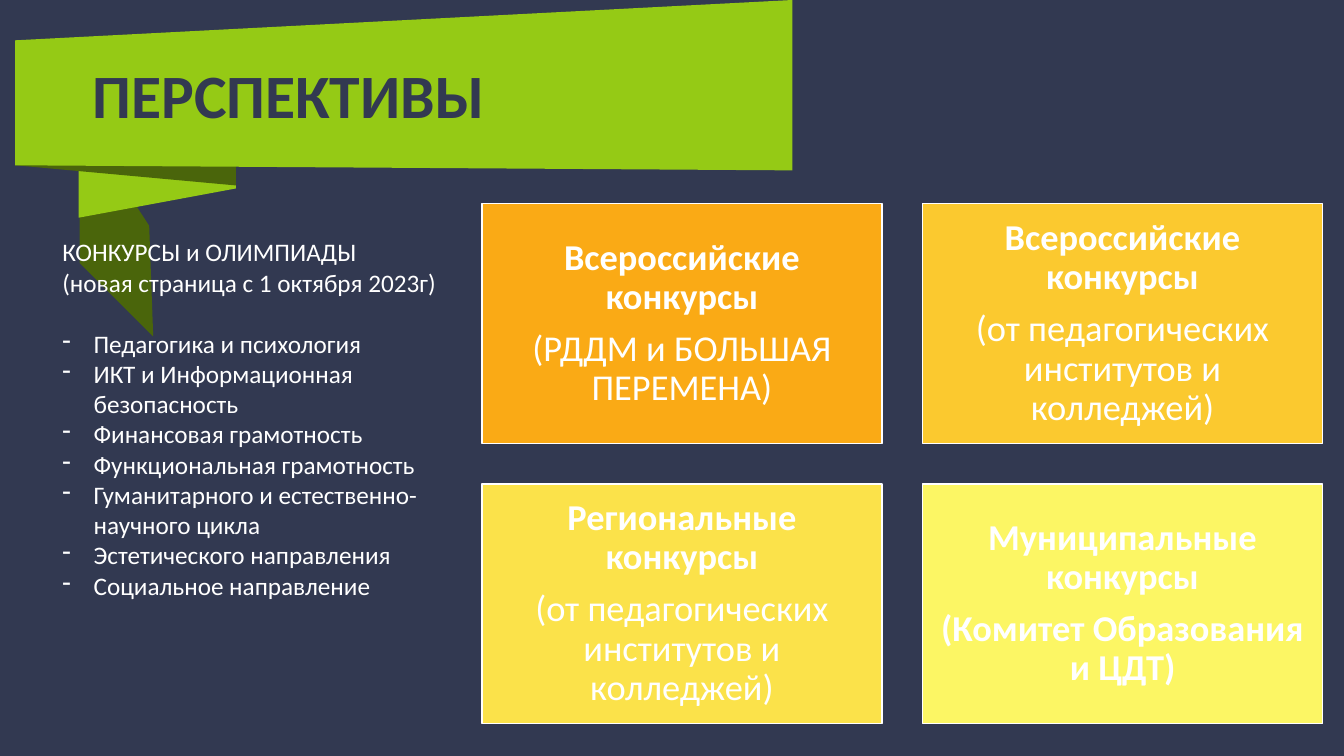
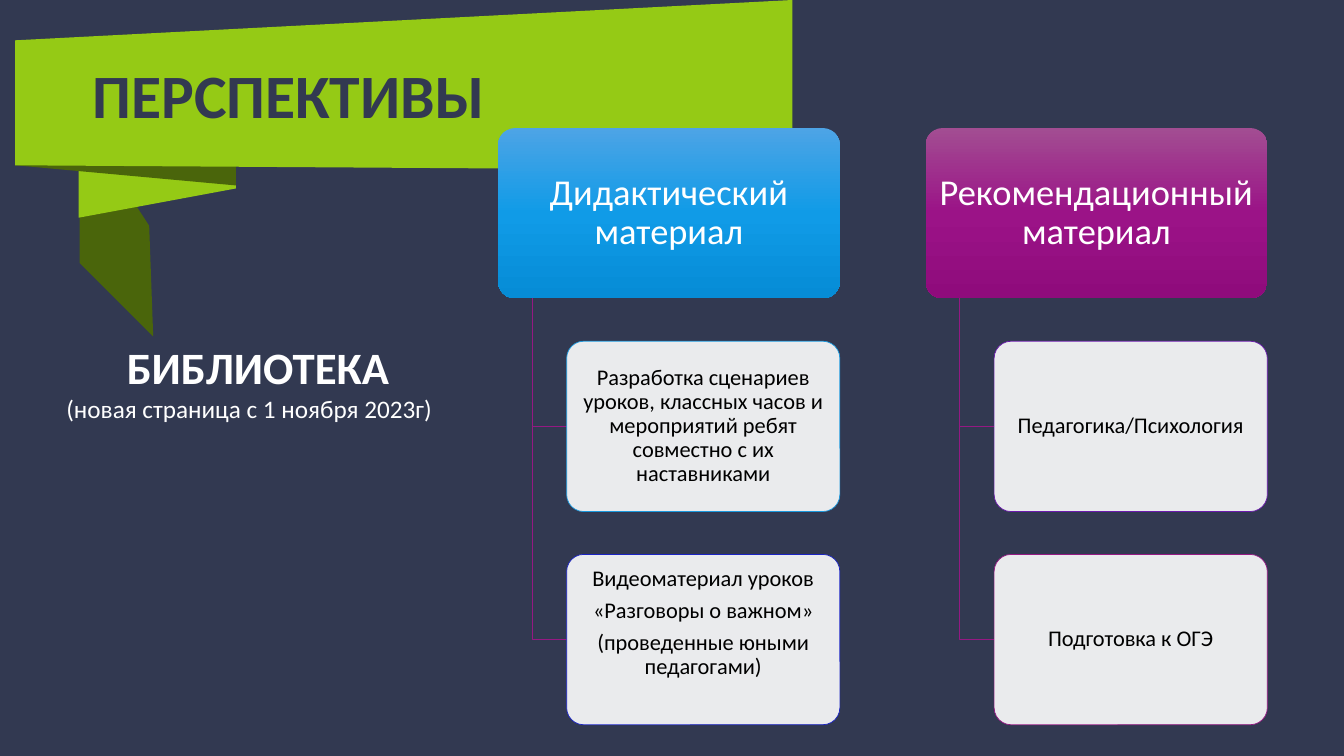
from dataclasses import dataclass

from lxml.etree import SubElement
from pptx import Presentation
from pptx.dml.color import RGBColor
from pptx.enum.shapes import MSO_SHAPE
from pptx.enum.text import MSO_ANCHOR, PP_ALIGN
from pptx.oxml.ns import qn
from pptx.util import Inches, Pt


@dataclass(frozen=True)
class Theme:
    font: str = "Calibri"
    night: str = "323951"
    lime: str = "95CA15"
    olive: str = "4A650B"
    white: str = "FFFFFF"
    black: str = "000000"
    magenta: str = "951983"
    title_size: int = 44
    library_size: int = 32
    heading_size: int = 26
    body_size: int = 18
    small_size: int = 16
    tight: float = 0.9
    gap_ratio: float = 0.35


THEME = Theme()

RIBBON = [
    (THEME.olive, [(1.52, 3.34), (0.79, 2.61), (0.79, 1.18), (1.48, 2.24)]),
    (THEME.lime, [(2.34, 1.87), (0.78, 2.16), (0.78, 0.88), (2.34, 1.26)]),
    (THEME.olive, [(2.34, 1.84), (0.15, 1.64), (0.15, 0.4), (2.34, 0.5)]),
    (THEME.lime, [(0.15, 0.4), (7.86, 0), (7.86, 1.69), (0.15, 1.64)]),
]

TOPICS = [
    "Педагогика и психология",
    "ИКТ и Информационная безопасность",
    "Финансовая грамотность",
    "Функциональная грамотность",
    "Гуманитарного и естественно-научного цикла",
    "Эстетического направления",
    "Социальное направление",
]

CONTESTS = [
    ("FAAA15", "Всероссийские конкурсы", "(РДДМ и БОЛЬШАЯ ПЕРЕМЕНА)", False),
    ("FBC92F", "Всероссийские конкурсы", "(от педагогических институтов и колледжей)", False),
    ("FBE24A", "Региональные конкурсы", "(от педагогических институтов и колледжей)", False),
    ("FCF664", "Муниципальные конкурсы", "(Комитет Образования и ЦДТ)", True),
]

BRANCHES = [
    ("Дидактический материал", ["4DA4E6", "109BE7", "068CD6"], [
        ("1A98DD", ["Разработка сценариев уроков, классных часов и мероприятий "
                    "ребят совместно с их наставниками"], 0.02),
        ("1A23C4", ["Видеоматериал уроков", "«Разговоры о важном»",
                    "(проведенные юными педагогами)"], 0.34),
    ]),
    ("Рекомендационный материал", ["A24D92", "9B1387", "8F0B7C"], [
        ("6A1AAC", ["Педагогика/Психология"], 0.02),
        (THEME.magenta, ["Подготовка к ОГЭ"], 0.02),
    ]),
]


def color(code):
    return RGBColor.from_string(code)


def set_frame(shape, insets=(0.1, 0.05, 0.1, 0.05), anchor=MSO_ANCHOR.TOP):
    frame = shape.text_frame
    frame.word_wrap = True
    frame.vertical_anchor = anchor
    frame.margin_left, frame.margin_top, frame.margin_right, frame.margin_bottom = map(Inches, insets)


def add_text(shape, text, size=THEME.body_size, ink=THEME.white, bold=False,
             align=PP_ALIGN.LEFT, spacing=1.0, before=0, indent=0, bullet=None):
    frame = shape.text_frame
    para = frame.paragraphs[0]
    first = not para.runs
    if not first:
        para = frame.add_paragraph()
    para.alignment = align
    para.line_spacing = spacing
    para.space_before = Pt(0 if first else before)
    para.space_after = Pt(0)
    properties = para._p.get_or_add_pPr()
    if indent:
        properties.set("marL", str(Inches(indent)))
    if bullet:
        properties.set("indent", str(-Inches(indent)))
        SubElement(properties, qn("a:buChar")).set("char", bullet)
    span = para.add_run()
    span.text = text
    span.font.name = THEME.font
    span.font.size = Pt(size)
    span.font.bold = bold
    span.font.color.rgb = color(ink)


def add_centered(shape, text, size, **style):
    add_text(shape, text, size=size, align=PP_ALIGN.CENTER, spacing=THEME.tight,
             before=size * THEME.gap_ratio, **style)


def add_box(page, left, top, width, height, **frame):
    box = page.shapes.add_textbox(*map(Inches, (left, top, width, height)))
    set_frame(box, **frame)
    return box


def add_panel(page, kind, left, top, width, height, insets, fill=None, line=None, line_width=1):
    panel = page.shapes.add_shape(kind, *map(Inches, (left, top, width, height)))
    panel.shadow.inherit = False
    if kind == MSO_SHAPE.ROUNDED_RECTANGLE:
        panel.adjustments[0] = 0.1
    if fill:
        panel.fill.solid()
        panel.fill.fore_color.rgb = color(fill)
    if line:
        panel.line.color.rgb = color(line)
        panel.line.width = Pt(line_width)
    else:
        panel.line.fill.background()
    set_frame(panel, insets=insets, anchor=MSO_ANCHOR.MIDDLE)
    return panel


def set_gradient(shape, codes):
    shape.fill.gradient()
    shape.fill.gradient_angle = 270
    stops = next(shape._element.spPr.iter(qn("a:gsLst")))
    stops.clear()
    for index, code in enumerate(codes):
        stop = SubElement(stops, qn("a:gs"), pos=str(index * 100000 // (len(codes) - 1)))
        SubElement(stop, qn("a:srgbClr"), val=code)


def set_opacity(shape, percent):
    tint = next(shape._element.spPr.iter(qn("a:srgbClr")))
    SubElement(tint, qn("a:alpha"), val=str(percent * 1000))


def add_outline(page, points, fill=None, line=None):
    start, *others = [(Inches(x), Inches(y)) for x, y in points]
    builder = page.shapes.build_freeform(*start)
    builder.add_line_segments(others, close=bool(fill))
    outline = builder.convert_to_shape()
    outline.shadow.inherit = False
    if fill:
        outline.fill.solid()
        outline.fill.fore_color.rgb = color(fill)
    else:
        outline.fill.background()
    if line:
        outline.line.color.rgb = color(line)
        outline.line.width = Pt(0.5)
    else:
        outline.line.fill.background()


def add_page(deck, title):
    page = deck.slides.add_slide(deck.slide_layouts[6])
    page.background.fill.solid()
    page.background.fill.fore_color.rgb = color(THEME.night)
    for fill, points in RIBBON:
        add_outline(page, points, fill=fill)
    box = add_box(page, 0.52, 0.39, 7.71, 1.18, insets=(0.4, 0.05, 0.1, 0.05),
                  anchor=MSO_ANCHOR.MIDDLE)
    add_text(box, title, size=THEME.title_size, ink=THEME.night, bold=True, spacing=THEME.tight)
    return page


def add_contest_cards(page):
    for index, (fill, heading, detail, bold) in enumerate(CONTESTS):
        row, column = divmod(index, 2)
        card = add_panel(page, MSO_SHAPE.RECTANGLE, 4.78 + 4.37 * column, 2.02 + 2.78 * row,
                         3.97, 2.38, insets=[0.11] * 4, fill=fill, line=THEME.white)
        add_centered(card, heading, THEME.heading_size, bold=True)
        add_centered(card, detail, THEME.heading_size, bold=bold)


def add_topics(page):
    box = add_box(page, 0.52, 2.3, 3.98, 4.04)
    add_text(box, "КОНКУРСЫ и ОЛИМПИАДЫ")
    add_text(box, "(новая страница с 1 октября 2023г)")
    for index, topic in enumerate(TOPICS):
        add_text(box, topic, before=0 if index else 22, indent=0.31, bullet="-")


def add_branch(page, left, heading, gradient, leaves):
    top, height, step = 1.27, 1.69, 2.115
    header = add_panel(page, MSO_SHAPE.ROUNDED_RECTANGLE, left, top, 3.39, height,
                       insets=(0.05, 0.04, 0.05, 0.04))
    set_gradient(header, gradient)
    add_centered(header, heading, THEME.heading_size)
    trunk, leaf_left = left + 0.34, left + 0.68
    for index, (line, texts, bottom) in enumerate(leaves, start=1):
        leaf_top = top + step * index
        middle = leaf_top + height / 2
        add_outline(page, [(trunk, top + height), (trunk, middle), (leaf_left, middle)],
                    line=THEME.magenta)
        leaf = add_panel(page, MSO_SHAPE.ROUNDED_RECTANGLE, leaf_left, leaf_top, 2.71, height,
                         insets=(0.03, 0.02, 0.03, bottom), fill=THEME.white,
                         line=line, line_width=0.5)
        set_opacity(leaf, 90)
        for text in texts:
            add_centered(leaf, text, THEME.small_size, ink=THEME.black)


def add_library(page):
    box = add_box(page, 0.56, 3.32, 3.98, 0.94)
    add_text(box, "БИБЛИОТЕКА", size=THEME.library_size, bold=True, indent=0.6)
    add_text(box, "(новая страница с 1 ноября 2023г)")


def main():
    deck = Presentation()
    deck.slide_width, deck.slide_height = Inches(13.33), Inches(7.5)
    title = "ПЕРСПЕКТИВЫ"

    contests = add_page(deck, title)
    add_contest_cards(contests)
    add_topics(contests)

    library = add_page(deck, title)
    add_library(library)
    for index, branch in enumerate(BRANCHES):
        add_branch(library, 4.94 + 4.24 * index, *branch)

    deck.save("out.pptx")


if __name__ == "__main__":
    main()
